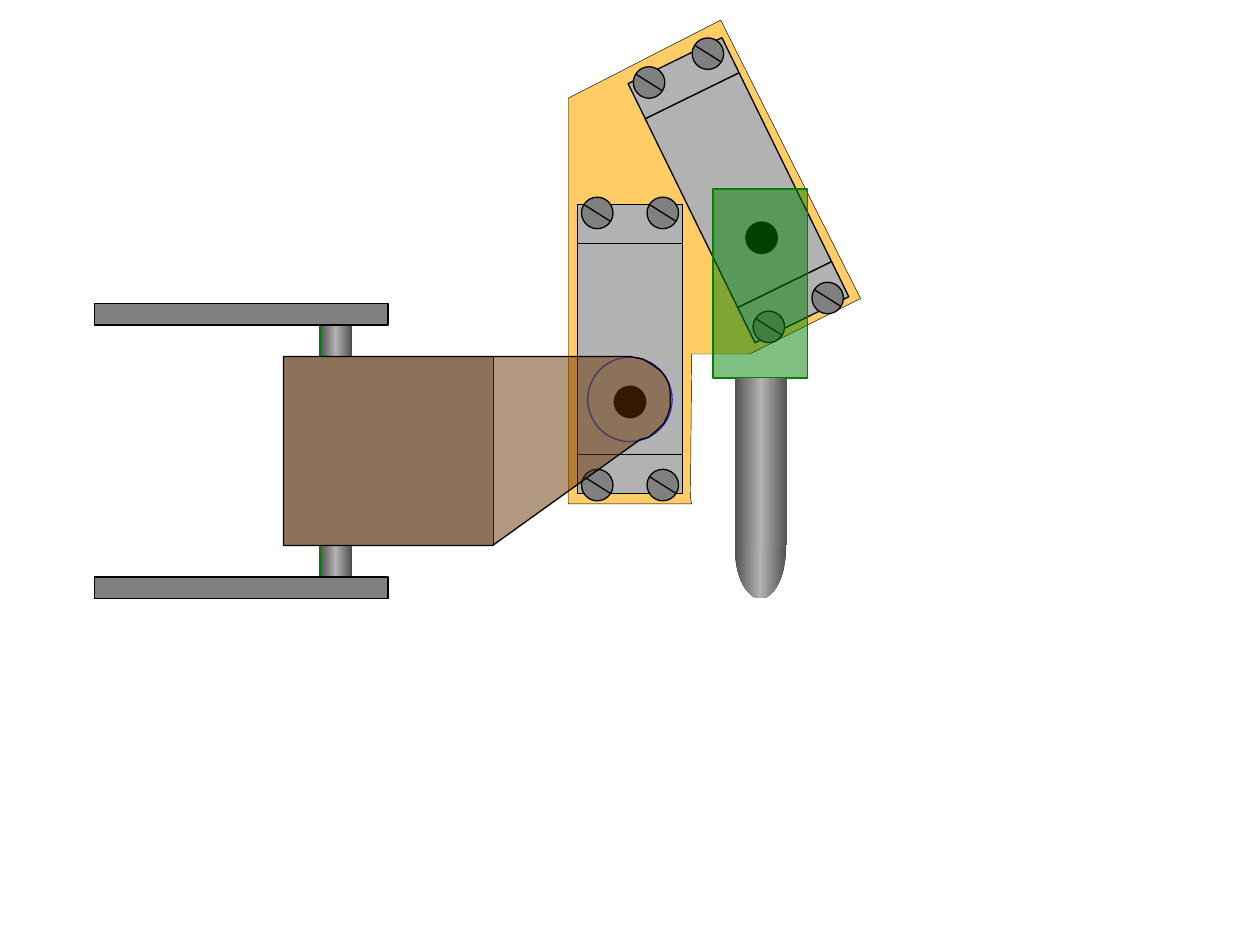
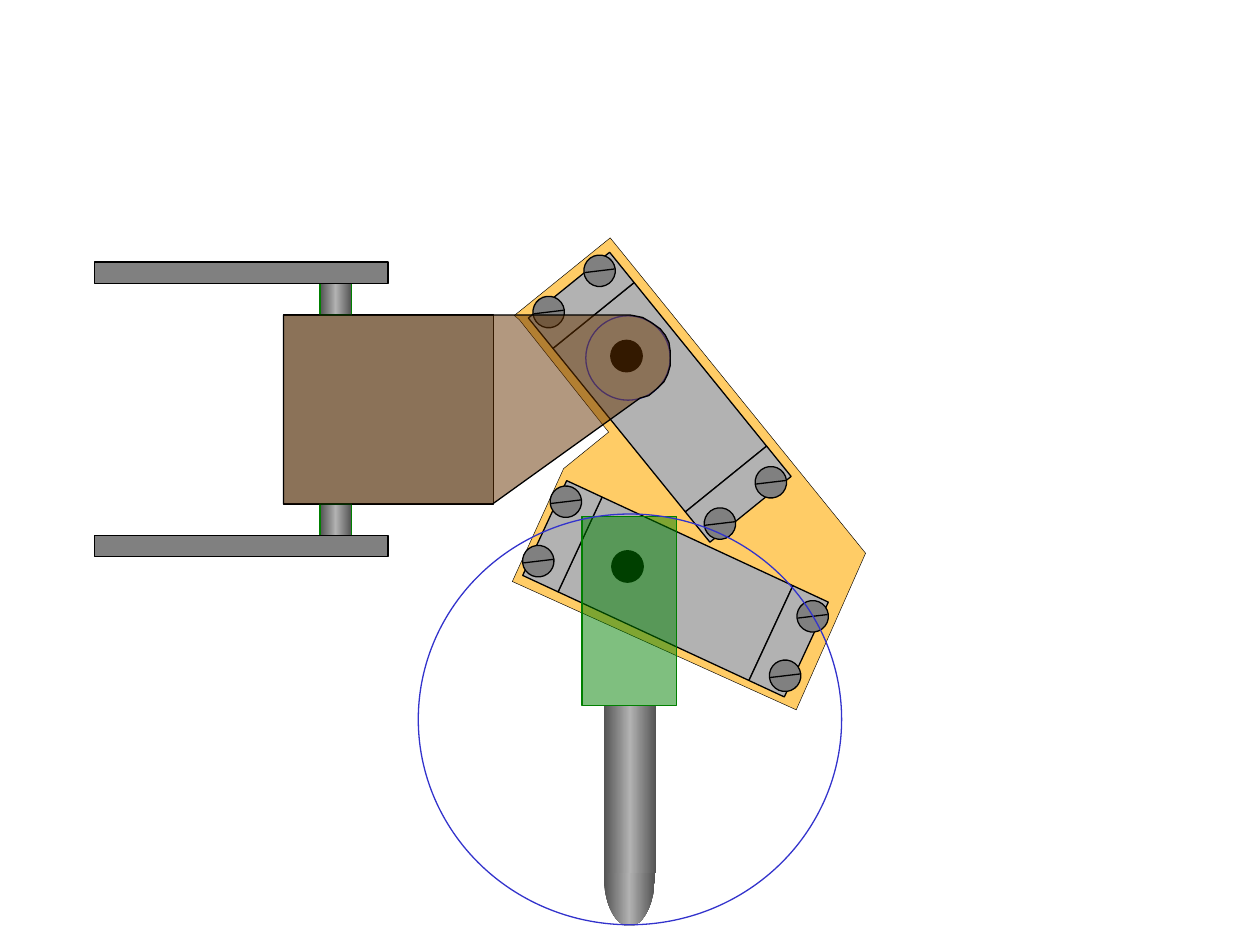
import copy
import math
from dataclasses import dataclass

import pptx
import pptx.dml.color
import pptx.enum.shapes
import pptx.oxml
import pptx.oxml.ns
import pptx.util
from pptx.util import Inches

RECT = pptx.enum.shapes.MSO_SHAPE.RECTANGLE
OVAL = pptx.enum.shapes.MSO_SHAPE.OVAL

BLACK = "000000"
RAIL_GREY = "808080"
SERVO_GREY = "B2B2B2"
STEEL_EDGE = "525252"
STEEL = (STEEL_EDGE, SERVO_GREY, STEEL_EDGE)
PLATE_ORANGE = "FFCC66"
ARM_BROWN = "663300"
HOLDER_GREEN = "008000"
GUIDE_BLUE = "3333CC"

PLATE_OUTLINE = [(5.49, 4), (4.51, 4), (4.51, 0.78), (5.72, 0.16), (6.83, 2.37),
                 (5.95, 2.81), (5.49, 2.81), (5.48, 3.95)]
PLATE_CENTER = (5.67, 2.08)
ARM_OUTLINE = [(0, 0), (2.75, 0), (2.85, 0.02), (2.92, 0.06), (2.99, 0.11),
               (3.03, 0.16), (3.06, 0.22), (3.07, 0.29), (3.07, 0.4), (3.05, 0.47),
               (3.02, 0.53), (2.97, 0.58), (2.9, 0.64), (2.83, 0.66), (1.66, 1.5),
               (0, 1.5)]
ARM_LEFT = 2.25


@dataclass
class Pose:
    x: float
    y: float
    turn: float = 0

    def at(self, along, across):
        angle = math.radians(self.turn)
        return (self.x + along * math.cos(angle) - across * math.sin(angle),
                self.y + along * math.sin(angle) + across * math.cos(angle))


def rgb(color):
    return pptx.dml.color.RGBColor.from_string(color)


def fill_gradient(shape, colors):
    shape.fill.gradient()
    shape.fill.gradient_angle = 0
    stop_list = shape.element.spPr.find(".//" + pptx.oxml.ns.qn("a:gsLst"))
    while len(stop_list) < len(colors):
        stop_list.append(copy.deepcopy(stop_list[0]))
    for index, (stop, color) in enumerate(zip(shape.fill.gradient_stops, colors)):
        stop.color.rgb = rgb(color)
        stop.position = index / (len(colors) - 1)


def set_opacity(shape, percent):
    color = shape.element.spPr.find(
        pptx.oxml.ns.qn("a:solidFill") + "/" + pptx.oxml.ns.qn("a:srgbClr"))
    color.append(pptx.oxml.parse_xml(
        f'<a:alpha {pptx.oxml.ns.nsdecls("a")} val="{percent * 1000}"/>'))


def set_line(line, color, width):
    line.color.rgb = rgb(color)
    line.width = pptx.util.Pt(width)


def style(shape, fill=None, line=None, width=0.75, opacity=100):
    shape.shadow.inherit = False
    if fill is None:
        shape.fill.background()
    elif isinstance(fill, tuple):
        fill_gradient(shape, fill)
    else:
        shape.fill.solid()
        shape.fill.fore_color.rgb = rgb(fill)
    if opacity < 100:
        set_opacity(shape, opacity)
    if line:
        set_line(shape.line, line, width)
    else:
        shape.line.fill.background()


def add_part(shapes, kind, left, top, width, height, **look):
    part = shapes.add_shape(kind, *map(Inches, (left, top, width, height)))
    style(part, **look)
    return part


def add_centered(shapes, kind, center, width, height, turn=0, **look):
    part = add_part(shapes, kind, center[0] - width / 2, center[1] - height / 2,
                    width, height, **look)
    part.rotation = turn


def add_outline(shapes, points, dx, dy, **look):
    corners = [(Inches(x + dx), Inches(y + dy)) for x, y in points]
    builder = shapes.build_freeform(*corners[0])
    builder.add_line_segments(corners[1:], close=True)
    outline = builder.convert_to_shape()
    style(outline, **look)
    return outline


def add_screw(shapes, center, slot_turn):
    add_centered(shapes, OVAL, center, 0.25, 0.25, slot_turn, fill=RAIL_GREY, line=BLACK)
    screw = Pose(*center, slot_turn)
    ends = screw.at(-0.12, 0) + screw.at(0.12, 0)
    slot = shapes.add_connector(pptx.enum.shapes.MSO_CONNECTOR.STRAIGHT,
                                *map(Inches, ends))
    set_line(slot.line, BLACK, 0.75)
    slot.element.spPr.append(pptx.oxml.parse_xml(
        f'<a:effectLst {pptx.oxml.ns.nsdecls("a")}/>'))


def add_servo(shapes, servo, slot_turn, ring=False):
    housing = dict(turn=servo.turn, fill=SERVO_GREY, line=BLACK)
    add_centered(shapes, RECT, (servo.x, servo.y), 1.67, 0.83, **housing)
    add_centered(shapes, OVAL, servo.at(0.42, 0), 0.25, 0.25, fill=BLACK, line=BLACK)
    for end in (1, -1):
        add_centered(shapes, RECT, servo.at(end * 0.99, 0), 0.31, 0.83, **housing)
        for side in (-1, 1):
            add_screw(shapes, servo.at(end * 1.08, side * 0.26), slot_turn)
    if ring:
        add_centered(shapes, OVAL, servo.at(0.4, 0), 0.67, 0.67, line=GUIDE_BLUE)


def add_joint(slide, joint):
    shapes = slide.shapes.add_group_shape().shapes
    plate = add_outline(shapes, PLATE_OUTLINE, joint.x - PLATE_CENTER[0],
                        joint.y - PLATE_CENTER[1],
                        fill=PLATE_ORANGE, line=BLACK, width=0.25)
    plate.rotation = joint.turn
    slot_turn = joint.turn + 32.2
    lower = Pose(*joint.at(-0.67, 0.69), joint.turn + 90)
    upper = Pose(*joint.at(0.19, -0.57), joint.turn + 63.9)
    add_servo(shapes, lower, slot_turn, ring=True)
    add_servo(shapes, upper, slot_turn)


def add_carriage(slide, top):
    shapes = slide.shapes.add_group_shape().shapes
    add_part(shapes, RECT, ARM_LEFT, top, 1.67, 1.5, fill=SERVO_GREY, line=BLACK)
    for offset in (-0.25, 1.5):
        add_part(shapes, RECT, 2.54, top + offset, 0.25, 0.25,
                 fill=STEEL, line=HOLDER_GREEN)
    for offset in (-0.42, 1.75):
        add_part(slide.shapes, RECT, 0.75, top + offset, 2.33, 0.17,
                 fill=RAIL_GREY, line=BLACK)


def add_arm(slide, top):
    add_outline(slide.shapes, ARM_OUTLINE, ARM_LEFT, top,
                fill=ARM_BROWN, line=BLACK, opacity=50)


def add_probe(slide, left, top):
    shapes = slide.shapes.add_group_shape().shapes
    add_part(shapes, RECT, left, top, 0.75, 1.5,
             fill=HOLDER_GREEN, line=HOLDER_GREEN, opacity=50)
    add_part(shapes, OVAL, left + 0.17, top + 2.42, 0.41, 0.83, fill=STEEL)
    add_part(shapes, RECT, left + 0.17, top + 1.5, 0.42, 1.33, fill=STEEL)


def add_mechanism(deck, arm_top, joint, probe_left, probe_top):
    slide = deck.slides.add_slide(deck.slide_layouts[6])
    add_carriage(slide, arm_top)
    add_joint(slide, joint)
    add_arm(slide, arm_top)
    add_probe(slide, probe_left, probe_top)
    return slide


def main():
    deck = pptx.Presentation()
    deck.slide_width, deck.slide_height = Inches(10), Inches(7.5)
    add_mechanism(deck, 2.83, Pose(*PLATE_CENTER), 5.66, 1.5)
    lowered = add_mechanism(deck, 2.5, Pose(5.15, 4.11, 141), 4.62, 4.1)
    add_part(lowered.shapes, OVAL, 3.32, 4.08, 3.36, 3.26, line=GUIDE_BLUE)
    deck.save("out.pptx")


if __name__ == "__main__":
    main()
